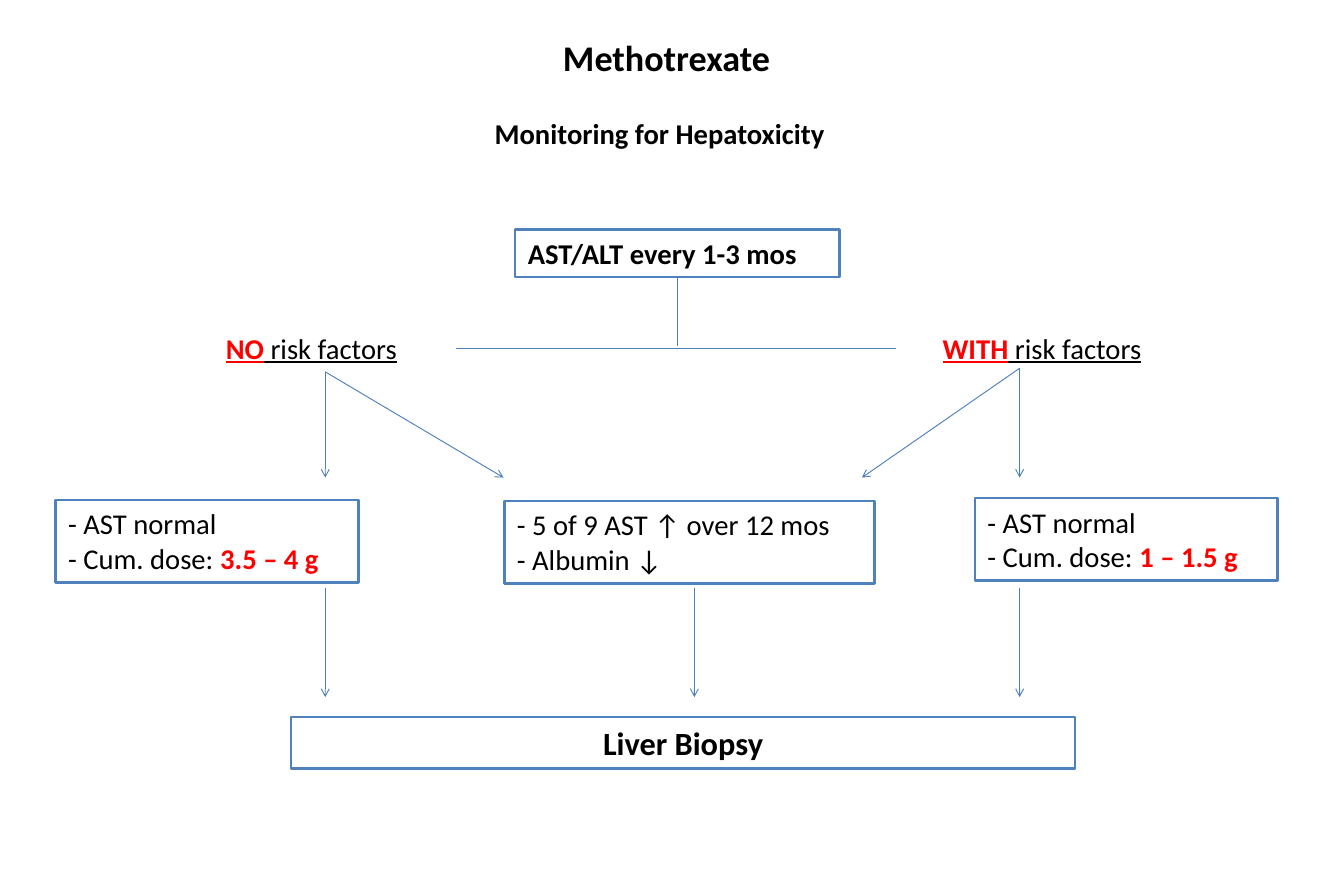
from pptx import Presentation
from pptx.dml.color import RGBColor
from pptx.enum.shapes import MSO_CONNECTOR as Connector, MSO_SHAPE as Shape
from pptx.enum.text import MSO_ANCHOR as Anchor, MSO_AUTO_SIZE as AutoSize, PP_ALIGN as Align
from pptx.oxml.ns import qn
from pptx.util import Inches, Pt
from lxml.etree import SubElement

BLACK = RGBColor(0x00, 0x00, 0x00)
RED = RGBColor(0xFF, 0x00, 0x00)
BORDER = RGBColor(0x4F, 0x81, 0xBD)
LINE = RGBColor(0x4B, 0x7E, 0xBC)
BOTTOM = 2


def write(para, text, size=23, bold=False, color=BLACK, underline=None):
    span = para.add_run()
    span.text = text
    font = span.font
    font.name = "Calibri"
    font.size = Pt(size)
    font.bold = bold
    font.underline = underline
    font.color.rgb = color


class FlowPage:
    def __init__(self, deck):
        self.page = deck.slides.add_slide(deck.slide_layouts[5])

    def fill_text(self, box, lines, align=Align.LEFT):
        frame = box.text_frame
        frame.word_wrap = True
        frame.auto_size = AutoSize.NONE
        frame.vertical_anchor = Anchor.TOP
        frame.margin_left = frame.margin_right = Inches(0.14)
        frame.margin_top = frame.margin_bottom = Inches(0.07)
        for index, spans in enumerate(lines):
            para = frame.add_paragraph() if index else frame.paragraphs[0]
            para.alignment = align
            for text, style in spans:
                write(para, text, **style)
        return box

    def title(self, area, text):
        box = self.page.shapes.title
        box.left, box.top, box.width, box.height = map(Inches, area)
        self.fill_text(box, [[(text, {"size": 29, "bold": True})]], Align.CENTER)

    def label(self, area, spans):
        box = self.page.shapes.add_textbox(*map(Inches, area))
        return self.fill_text(box, [spans])

    def node(self, area, lines, align=Align.LEFT):
        box = self.page.shapes.add_shape(Shape.RECTANGLE, *map(Inches, area))
        box.shadow.inherit = False
        box.fill.background()
        box.line.color.rgb = BORDER
        box.line.width = Pt(2)
        return self.fill_text(box, lines, align)

    def connect(self, start, end, source=None, arrow=True):
        line = self.page.shapes.add_connector(
            Connector.STRAIGHT, *map(Inches, start + end))
        if source is not None:
            line.begin_connect(source, BOTTOM)
        line.line.color.rgb = LINE
        line.line.width = Pt(0.75)
        if arrow:
            SubElement(line.line._get_or_add_ln(), qn("a:tailEnd"), type="arrow")
        SubElement(line._element.spPr, qn("a:effectLst"))


def risk_label(word):
    return [(word, {"bold": True, "color": RED, "underline": True}),
            (" risk factors", {"underline": True})]


def dose_lines(dose):
    return [[("- AST normal", {})],
            [("- Cum. dose: ", {}), (dose, {"bold": True, "color": RED})]]


def main():
    deck = Presentation()
    deck.slide_width, deck.slide_height = Inches(15), Inches(10)
    flow = FlowPage(deck)

    flow.title((5, 0.33, 4.88, 0.63), "Methotrexate")
    flow.label((5.38, 1.22, 4.25, 0.53),
               [("Monitoring for Hepatoxicity", {"bold": True})])
    no_risk = flow.label((2.38, 3.62, 2.5, 0.53), risk_label("NO"))
    flow.label((10.38, 3.62, 3, 0.53), risk_label("WITH"))

    testing = flow.node((5.75, 2.56, 3.62, 0.53),
                        [[("AST/ALT every 1-3 mos", {"bold": True})]])
    flow.node((0.62, 5.58, 3.38, 0.92), dose_lines("3.5 – 4 g"))
    flow.node((5.63, 5.59, 4.13, 0.92),
              [[("- 5 of 9 AST ↑ over 12 mos", {})], [("- Albumin ↓", {})]])
    flow.node((10.88, 5.56, 3.38, 0.92), dose_lines("1 – 1.5 g"))
    flow.node((3.25, 8, 8.75, 0.58),
              [[("Liver Biopsy", {"size": 26, "bold": True})]], Align.CENTER)

    flow.connect((7.56, 3.09), (7.56, 3.86), testing, arrow=False)
    flow.connect((5.09, 3.89), (10, 3.89), arrow=False)
    for x, y, inner, source in ((3.63, 4.15, 5.62, no_risk), (11.38, 4.11, 9.62, None)):
        for target in (x, inner):
            flow.connect((x, y), (target, 5.33), source)
    for x in (3.63, 7.75, 11.38):
        flow.connect((x, 6.56), (x, 7.78))

    deck.save("out.pptx")


if __name__ == "__main__":
    main()
